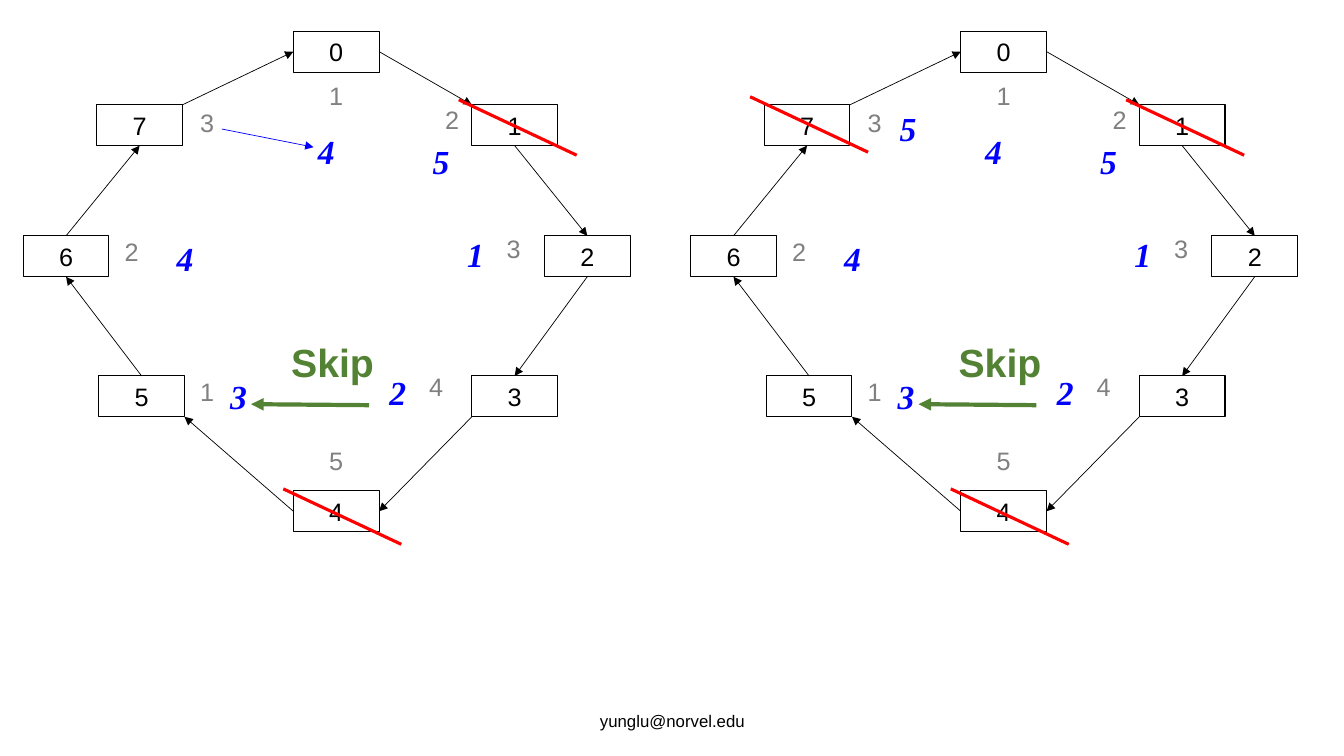
import collections
import pptx
import pptx.dml.color
import pptx.enum.shapes
import pptx.enum.text
import pptx.oxml
import pptx.oxml.ns
import pptx.util

BLACK = pptx.dml.color.RGBColor(0x00, 0x00, 0x00)
GRAY = pptx.dml.color.RGBColor(0x80, 0x80, 0x80)
BLUE = pptx.dml.color.RGBColor(0x00, 0x00, 0xFF)
RED = pptx.dml.color.RGBColor(0xFF, 0x00, 0x00)
GREEN = pptx.dml.color.RGBColor(0x54, 0x82, 0x35)

Box = collections.namedtuple("Box", "left top width height")
Style = collections.namedtuple("Style", "font size color bold italic")

NODE_STYLE = Style("Arial", 18, BLACK, False, False)
COUNT_STYLE = NODE_STYLE._replace(color=GRAY)
SECOND_STYLE = Style("Times New Roman", 24, BLUE, True, True)
SKIP_STYLE = Style("Arial", 28, GREEN, True, False)
FOOTER_STYLE = NODE_STYLE._replace(size=12)

COLUMNS, ROWS = 60, 50
NODE_WIDTH, NODE_HEIGHT, SECOND_HEIGHT = 8.5, 4.05, 5
STRIKE_WIDTH, STRIKE_HEIGHT = 11.7, 5.5

NODES = [(26.8, 0), (44.5, 7.3), (51.7, 20.3), (44.5, 34.2),
         (26.8, 45.6), (7.5, 34.2), (0, 20.3), (7.3, 7.3)]
EXITS = [(1, 0.5), (0.5, 1), (0.5, 1), (0, 1),
         (0, 0.5), (0.5, 0), (0.5, 0), (1, 0)]
ENTRIES = [(0, 0.5), (0, 0), (0.5, 0), (0.5, 0),
           (1, 0.5), (1, 1), (0.5, 1), (0.5, 1)]
COUNTS = [("1", 26.8, 4.4), ("2", 38.3, 6.8), ("3", 44.4, 19.6), ("4", 36.7, 33.2),
          ("5", 26.8, 40.6), ("1", 14, 33.7), ("2", 6.5, 19.8), ("3", 14, 7.1)]
SECOND_COUNTS = [("4", 25.8, 9.4), ("5", 37.2, 10.4), ("1", 40.6, 19.6),
                 ("2", 32.9, 33.3), ("3", 17.1, 33.7), ("4", 11.8, 20)]
LAST_COUNT = ("5", 17.3, 7.1)
STRIKES = [(25.8, 45.4), (43.2, 6.8)]
LAST_STRIKE = (5.9, 6.5)


def cell_box(box, column, row, columns, rows):
    return Box(round(box.left + box.width * column / COLUMNS),
               round(box.top + box.height * row / ROWS),
               round(box.width * columns / COLUMNS),
               round(box.height * rows / ROWS))


def write(shape, text, style, wrap=True):
    frame = shape.text_frame
    frame.text = text
    frame.word_wrap = wrap
    frame.vertical_anchor = pptx.enum.text.MSO_ANCHOR.TOP
    paragraph = frame.paragraphs[0]
    paragraph.alignment = (pptx.enum.text.PP_ALIGN.CENTER if wrap
                           else pptx.enum.text.PP_ALIGN.LEFT)
    font = paragraph.runs[0].font
    font.name, font.size = style.font, pptx.util.Pt(style.size)
    font.bold, font.italic = style.bold, style.italic
    font.color.rgb = style.color


def add_label(slide, box, text, style, wrap=True):
    label = slide.shapes.add_textbox(*box)
    write(label, text, style, wrap)
    return label


def add_node(slide, box, text):
    node = slide.shapes.add_shape(pptx.enum.shapes.MSO_SHAPE.RECTANGLE, *box)
    node.shadow.inherit = False
    node.fill.background()
    node.line.color.rgb = BLACK
    node.line.width = pptx.util.Pt(0.75)
    write(node, text, NODE_STYLE)


def add_line(slide, box, start, end, color, width, arrow=True):
    begin = cell_box(box, *start, 0, 0)
    finish = cell_box(box, *end, 0, 0)
    line = slide.shapes.add_connector(
        pptx.enum.shapes.MSO_CONNECTOR.STRAIGHT,
        begin.left, begin.top, finish.left, finish.top)
    line.line.color.rgb = color
    line.line.width = pptx.util.Pt(width)
    if arrow:
        head = pptx.oxml.parse_xml(
            f'<a:tailEnd {pptx.oxml.ns.nsdecls("a")} type="triangle"/>')
        line.line._get_or_add_ln().append(head)
    line._element.spPr.append(pptx.oxml.parse_xml(
        f'<a:effectLst {pptx.oxml.ns.nsdecls("a")}/>'))


def node_point(index, share):
    column, row = NODES[index]
    return column + NODE_WIDTH * share[0], row + NODE_HEIGHT * share[1]


def add_ring(slide, box, second_counts, strikes):
    for index, (column, row) in enumerate(NODES):
        add_node(slide, cell_box(box, column, row, NODE_WIDTH, NODE_HEIGHT), str(index))
    for index, leaving in enumerate(EXITS):
        following = (index + 1) % len(NODES)
        add_line(slide, box, node_point(index, leaving),
                 node_point(following, ENTRIES[following]), BLACK, 0.5)
    for counts, style, height in ((COUNTS, COUNT_STYLE, NODE_HEIGHT),
                                  (second_counts, SECOND_STYLE, SECOND_HEIGHT)):
        for text, column, row in counts:
            add_label(slide, cell_box(box, column, row, NODE_WIDTH, height), text, style)
    for column, row in strikes:
        add_line(slide, box, (column, row),
                 (column + STRIKE_WIDTH, row + STRIKE_HEIGHT), RED, 2.25, arrow=False)
    add_line(slide, box, (34.3, 37.1), (22.6, 37), GREEN, 3)
    add_label(slide, cell_box(box, 25.6, 30, 10.3, 5.7), "Skip", SKIP_STYLE, wrap=False)


def add_footer(slide, box):
    footer = add_label(slide, box, "yunglu@norvel.edu", FOOTER_STYLE)
    footer.text_frame.vertical_anchor = pptx.enum.text.MSO_ANCHOR.MIDDLE


def main():
    inches = pptx.util.Inches
    presentation = pptx.Presentation()
    presentation.slide_width = inches(13.33)
    presentation.slide_height = inches(7.5)
    slide = presentation.slides.add_slide(presentation.slide_layouts[6])
    left_ring = Box(inches(0.23), inches(0.31), inches(6), inches(5))
    right_ring = left_ring._replace(left=inches(6.85))
    add_footer(slide, Box(inches(4.42), inches(6.95), inches(4.5), inches(0.4)))
    add_ring(slide, left_ring, SECOND_COUNTS, STRIKES)
    add_line(slide, left_ring, (19.7, 9.7), (28.8, 11.5), BLUE, 0.5)
    add_ring(slide, right_ring, SECOND_COUNTS + [LAST_COUNT], STRIKES + [LAST_STRIKE])
    presentation.save("out.pptx")


if __name__ == "__main__":
    main()
